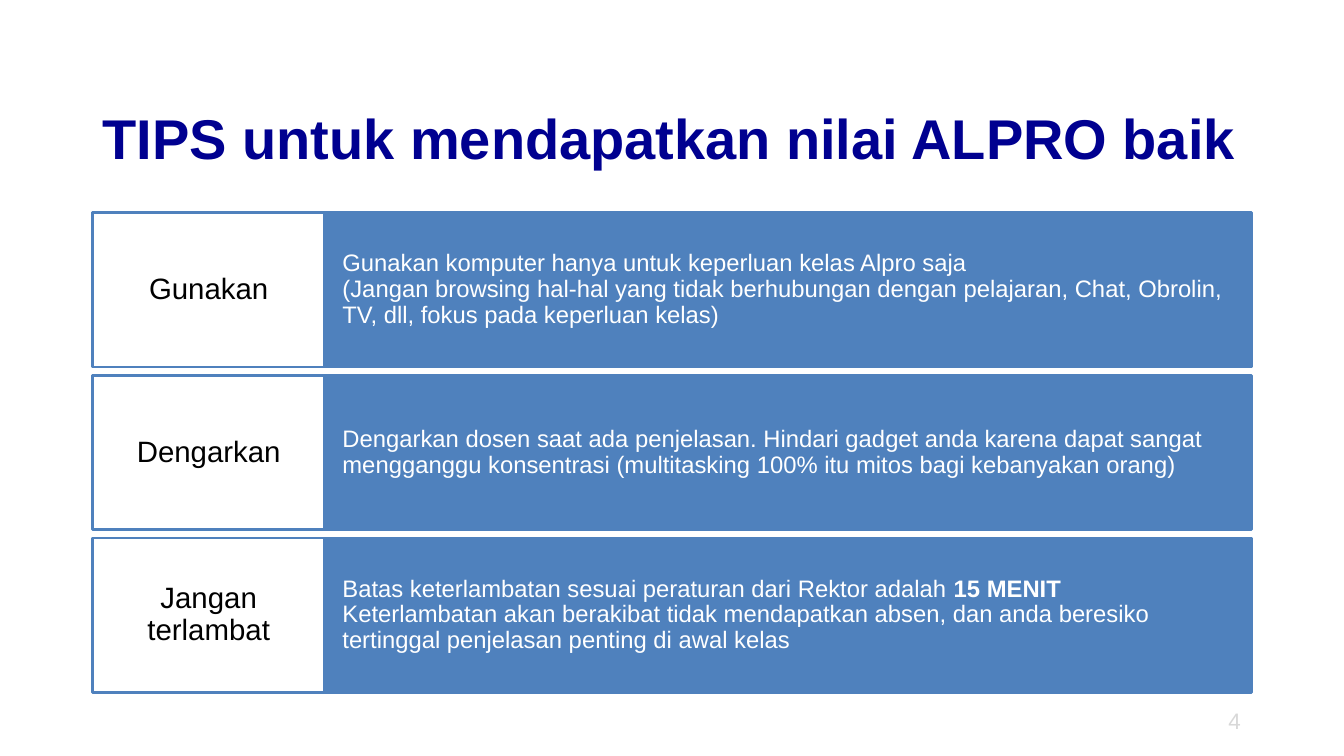
"""Build the slide of tips for a good ALPRO grade."""
from pptx import Presentation
from pptx.dml.color import RGBColor
from pptx.enum import shapes, text
from pptx.util import Cm, Pt

TITLE = "TIPS untuk mendapatkan nilai ALPRO baik"
PAGE = "4"
TIPS = [
    ("Gunakan", [
        [("Gunakan komputer hanya untuk keperluan kelas Alpro saja", False)],
        [("(Jangan browsing hal-hal yang tidak berhubungan dengan pelajaran, "
          "Chat, Obrolin, TV, dll, fokus pada keperluan kelas)", False)],
    ]),
    ("Dengarkan", [
        [("Dengarkan dosen saat ada penjelasan. Hindari gadget anda karena dapat sangat "
          "mengganggu konsentrasi (multitasking 100% itu mitos bagi kebanyakan orang)", False)],
    ]),
    ("Jangan terlambat", [
        [("Batas keterlambatan sesuai peraturan dari Rektor adalah ", False), ("15 MENIT", True)],
        [("Keterlambatan akan berakibat tidak mendapatkan absen, dan anda beresiko "
          "tertinggal penjelasan penting di awal kelas", False)],
    ]),
]

THEME = {
    "font": "Arial",
    "line": "4F81BD",
    "title": {"size": 40, "color": "000090"},
    "label": {"size": 21, "color": "000000", "fill": "FFFFFF"},
    "detail": {"size": 17, "color": "FFFFFF", "fill": "4F81BD"},
    "page": {"size": 16, "color": "D8D8D8"},
}

LEFT, TOP = 2.34, 5.36
LABEL_W, DETAIL_W = 5.84, 23.36
ROW_H, PITCH = 3.89, 4.1
ALIGN, ANCHOR = text.PP_ALIGN, text.MSO_ANCHOR


def set_all(obj, values):
    for name, value in values.items():
        setattr(obj, name, value)


def write(sp, style, paragraphs, align, anchor, insets=(0.25, 0.13), spacing=1.0):
    tf = sp.text_frame
    x, y = map(Cm, insets)
    set_all(tf, {"word_wrap": True, "auto_size": text.MSO_AUTO_SIZE.NONE,
                 "vertical_anchor": anchor, "margin_left": x, "margin_right": x,
                 "margin_top": y, "margin_bottom": y})
    for i, runs in enumerate(paragraphs):
        p = tf.add_paragraph() if i else tf.paragraphs[0]
        set_all(p, {"alignment": align, "line_spacing": spacing,
                    "space_before": Pt(0), "space_after": Pt(0)})
        for content, bold in runs:
            r = p.add_run()
            r.text = content
            set_all(r.font, {"name": THEME["font"], "size": Pt(THEME[style]["size"]),
                             "bold": bold})
            r.font.color.rgb = RGBColor.from_string(THEME[style]["color"])


def add_box(s, style, x, y, w, paragraphs, align, insets):
    sp = s.shapes.add_shape(shapes.MSO_SHAPE.RECTANGLE, Cm(x), Cm(y), Cm(w), Cm(ROW_H))
    sp.shadow.inherit = False
    sp.fill.solid()
    sp.fill.fore_color.rgb = RGBColor.from_string(THEME[style]["fill"])
    sp.line.color.rgb = RGBColor.from_string(THEME["line"])
    sp.line.width = Pt(2)
    write(sp, style, paragraphs, align, ANCHOR.MIDDLE, insets, 0.9)


def main():
    prs = Presentation()
    set_all(prs, {"slide_width": Cm(33.87), "slide_height": Cm(19.05)})
    s = prs.slides.add_slide(prs.slide_layouts[5])

    title = s.shapes.title
    set_all(title, {"left": Cm(LEFT), "top": Cm(1.6),
                    "width": Cm(LABEL_W + DETAIL_W), "height": Cm(2.82)})
    write(title, "title", [[(TITLE, True)]], ALIGN.LEFT, ANCHOR.BOTTOM)

    for i, (label, detail) in enumerate(TIPS):
        y = TOP + i * PITCH
        add_box(s, "detail", LEFT + LABEL_W, y, DETAIL_W, detail, ALIGN.LEFT, (0.45, 0.99))
        add_box(s, "label", LEFT, y, LABEL_W, [[(label, False)]], ALIGN.CENTER, (0.3, 0.38))

    page = s.shapes.add_textbox(Cm(24.64), Cm(17.65), Cm(6.88), Cm(1.02))
    write(page, "page", [[(PAGE, False)]], ALIGN.RIGHT, ANCHOR.MIDDLE)

    prs.save("out.pptx")


if __name__ == "__main__":
    main()
